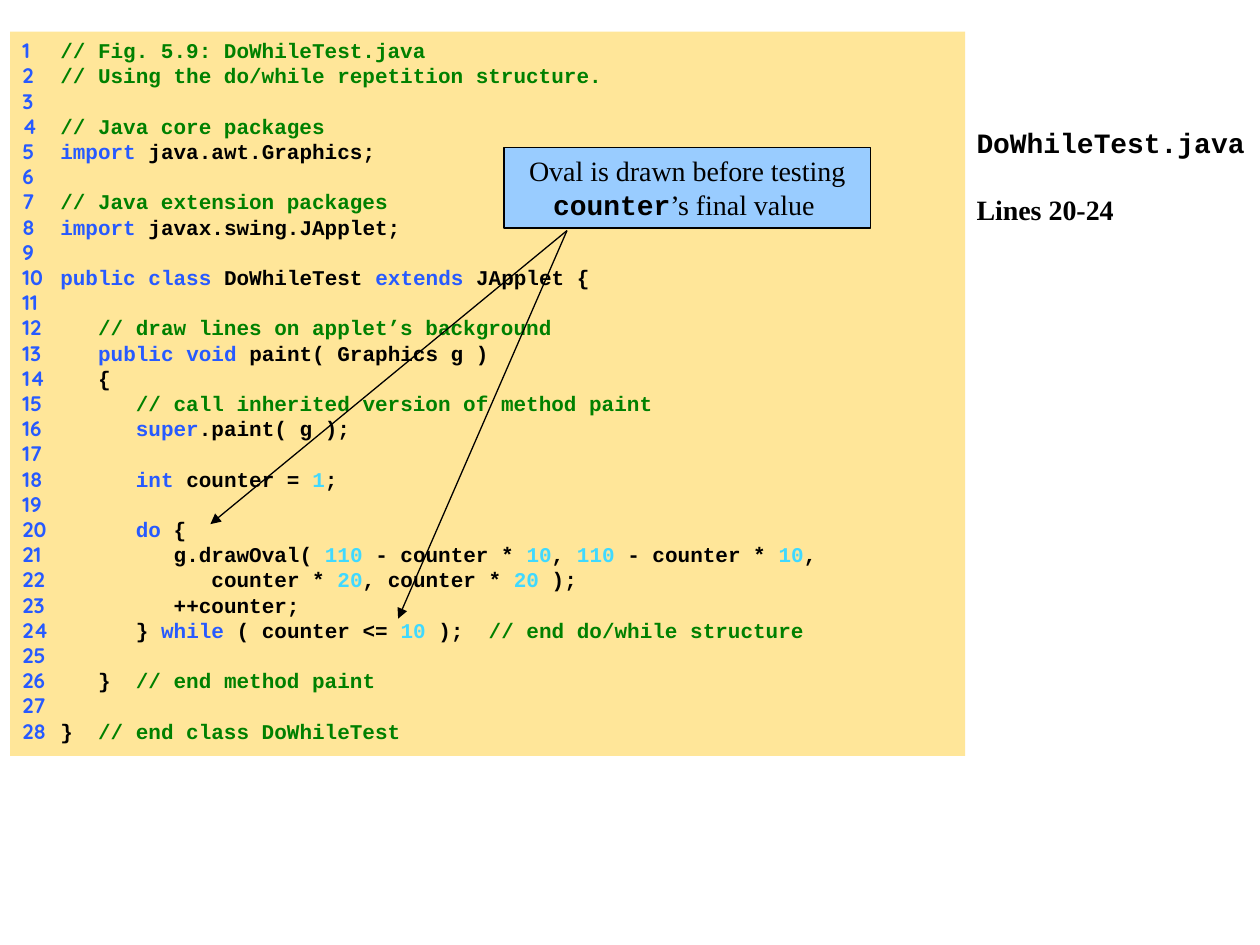
from dataclasses import dataclass
from itertools import groupby

from lxml.etree import SubElement
from pptx import Presentation
from pptx.dml.color import RGBColor as Rgb
from pptx.enum.shapes import MSO_CONNECTOR as Connector, MSO_SHAPE as Preset
from pptx.enum.text import MSO_ANCHOR as Anchor, PP_ALIGN as Align
from pptx.oxml.ns import qn
from pptx.util import Inches, Pt


@dataclass(frozen=True)
class Theme:
    mono: str = "Courier New"
    serif: str = "Times New Roman"
    numbers: str = "Quicksand"
    ink: str = "000000"
    keyword: str = "275AFF"
    comment: str = "008000"
    literal: str = "40D9FF"
    listing_fill: str = "FFE699"
    callout_fill: str = "99CCFF"
    code_size: float = 12
    note_size: float = 16
    line_width: float = 0.75


KEYWORDS = {"import", "public", "class", "extends", "void", "super", "int", "do", "while"}
CODE_COLUMN = 0.3
CHAR_WIDTH = 0.1

LISTING = """\
// Fig. 5.9: DoWhileTest.java
// Using the do/while repetition structure.

// Java core packages
import java.awt.Graphics;

// Java extension packages
import javax.swing.JApplet;

public class DoWhileTest extends JApplet {

   // draw lines on applet’s background
   public void paint( Graphics g )
   {
      // call inherited version of method paint
      super.paint( g );

      int counter = 1;

      do {
         g.drawOval( 110 - counter * 10, 110 - counter * 10,
            counter * 20, counter * 20 );
         ++counter;
      } while ( counter <= 10 );  // end do/while structure

   }  // end method paint

}  // end class DoWhileTest"""


def highlight(code, theme):
    """Split a line of code into (text, colour) pieces."""
    statement, slashes, remark = code.partition("//")
    tokens = []
    for _, letters in groupby(statement, str.isalnum):
        token = "".join(letters)
        if token in KEYWORDS:
            colour = theme.keyword
        elif token.isdigit():
            colour = theme.literal
        else:
            colour = theme.ink
        tokens.append((token, colour))
    if slashes:
        tokens.append((slashes + remark, theme.comment))
    return [("".join(token for token, _ in group), colour)
            for colour, group in groupby(tokens, key=lambda pair: pair[1])]


class SlideBuilder:
    def __init__(self, slide, theme):
        self.slide = slide
        self.theme = theme

    def add_run(self, paragraph, text, font, size, colour, bold=True):
        run = paragraph.add_run()
        run.text = text
        run.font.name = font
        run.font.size = Pt(size)
        run.font.bold = bold
        run.font.color.rgb = Rgb.from_string(colour)

    def panel(self, left, top, width, height, fill, outlined=False):
        """Add a filled rectangle and return its text frame."""
        shape = self.slide.shapes.add_shape(
            Preset.RECTANGLE, Inches(left), Inches(top), Inches(width), Inches(height))
        shape.shadow.inherit = False
        shape.fill.solid()
        shape.fill.fore_color.rgb = Rgb.from_string(fill)
        if outlined:
            shape.line.color.rgb = Rgb.from_string(self.theme.ink)
            shape.line.width = Pt(self.theme.line_width)
        else:
            shape.line.fill.background()
        frame = shape.text_frame
        frame.word_wrap = True
        frame.vertical_anchor = Anchor.TOP
        return frame

    def code_listing(self, left, top, width, height, source):
        theme = self.theme
        frame = self.panel(left, top, width, height, theme.listing_fill)
        for number, line in enumerate(source.splitlines(), start=1):
            paragraph = frame.paragraphs[0] if number == 1 else frame.add_paragraph()
            paragraph.alignment = Align.LEFT
            code = line.lstrip()
            label = f"{number}\t" if code else str(number)
            self.add_run(paragraph, label, theme.numbers, theme.code_size, theme.keyword)
            if code:
                depth = len(line) - len(code)
                self.tab_stop(paragraph, CODE_COLUMN + depth * CHAR_WIDTH)
            for text, colour in highlight(code, theme):
                self.add_run(paragraph, text, theme.mono, theme.code_size, colour)

    def tab_stop(self, paragraph, position):
        stops = SubElement(paragraph._p.get_or_add_pPr(), qn("a:tabLst"))
        SubElement(stops, qn("a:tab"), pos=str(Inches(position)), algn="l")

    def side_heading(self, left, top, width, height, file_name, line_range):
        theme = self.theme
        frame = self.slide.shapes.add_textbox(
            Inches(left), Inches(top), Inches(width), Inches(height)).text_frame
        frame.word_wrap = True
        frame.margin_left = 0
        self.add_run(frame.paragraphs[0], file_name, theme.mono, theme.note_size, theme.ink)
        lines = frame.add_paragraph()
        lines.space_before = Pt(19)
        self.add_run(lines, line_range, theme.serif, theme.note_size, theme.ink)

    def callout(self, left, top, width, height, before, code, after):
        theme = self.theme
        frame = self.panel(left, top, width, height, theme.callout_fill, outlined=True)
        note = frame.paragraphs[0]
        note.alignment = Align.CENTER
        for text, font in ((before, theme.serif), (code, theme.mono), (after, theme.serif)):
            self.add_run(note, text, font, theme.note_size, theme.ink, bold=text == code)

    def arrow(self, start, end):
        connector = self.slide.shapes.add_connector(
            Connector.STRAIGHT, *(Inches(value) for value in (*start, *end)))
        connector.line.color.rgb = Rgb.from_string(self.theme.ink)
        connector.line.width = Pt(self.theme.line_width)
        SubElement(connector.line._get_or_add_ln(), qn("a:tailEnd"), type="triangle")
        SubElement(connector._element.spPr, qn("a:effectLst"))


def main():
    deck = Presentation()
    deck.slide_width, deck.slide_height = Inches(10), Inches(7.5)
    builder = SlideBuilder(deck.slides.add_slide(deck.slide_layouts[6]), Theme())

    builder.side_heading(7.75, 0.95, 2.25, 6, "DoWhileTest.java", "Lines 20-24")
    builder.code_listing(0.08, 0.25, 7.58, 5.75, LISTING)
    builder.callout(4, 1.17, 2.91, 0.64,
                    "Oval is drawn before testing ", "counter", "’s final value ")
    callout_foot = (4.5, 1.83)
    for target in ((1.67, 4.16), (3.16, 4.91)):
        builder.arrow(callout_foot, target)

    deck.save("out.pptx")


if __name__ == "__main__":
    main()
